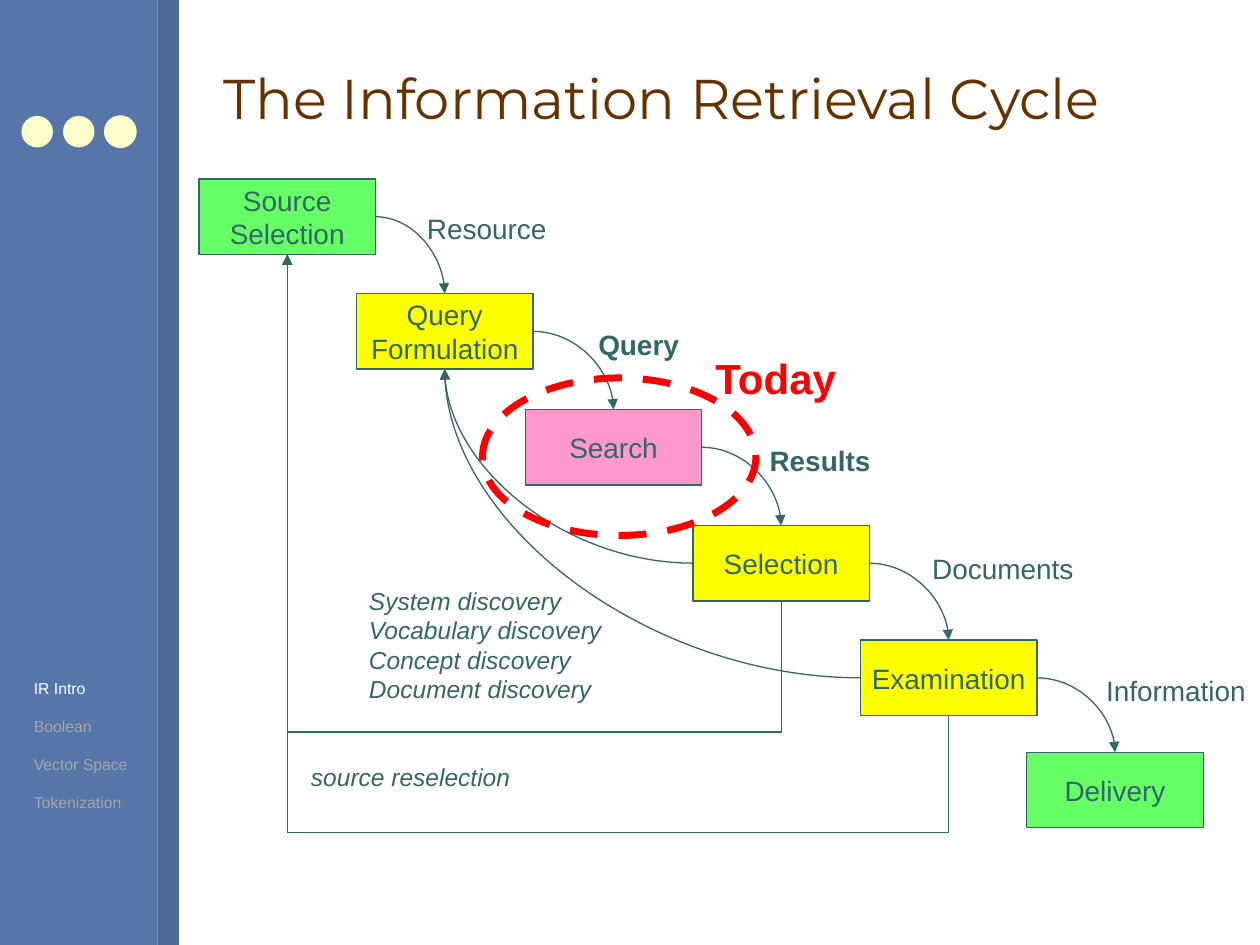
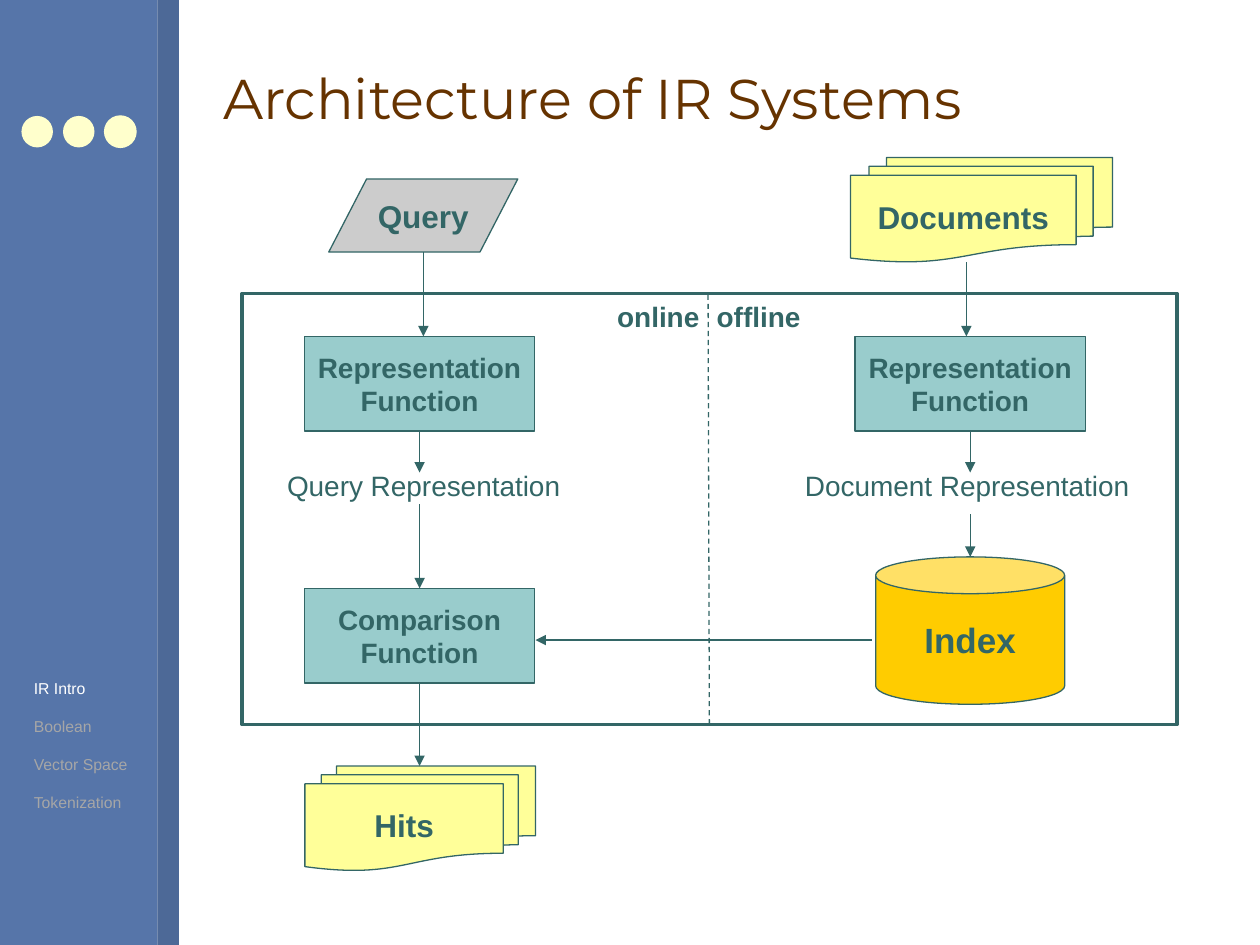
from pptx import Presentation
from pptx import util as u
from pptx.dml.color import RGBColor
from pptx.enum import dml, shapes, text
from pptx.oxml import ns, xmlchemy

INK, TITLE, RED = "336666", "663300", "FF0000"
BAND, EDGE, DOT, MUTED = "5675A9", "4D6997", "FFFFCC", "A6A6A6"
GREEN, YELLOW, PINK = "66FF66", "FFFF00", "FF99CC"
TEAL, PAPER, GREY, GOLD = "99CCCC", "FFFF99", "CCCCCC", "FFCC00"
TOPICS = ["IR Intro", "Boolean", "Vector Space", "Tokenization"]

STEP_W, STEP_H = 1.4, 0.6
STEPS = [
    (["Source", "Selection"], 1.58, 1.42, GREEN),
    (["Query", "Formulation"], 2.83, 2.33, YELLOW),
    (["Search"], 4.17, 3.25, PINK),
    (["Selection"], 5.5, 4.17, YELLOW),
    (["Examination"], 6.83, 5.08, YELLOW),
    (["Delivery"], 8.15, 5.97, GREEN),
]
PASSED_ON = [
    ("Resource", 3.29, 1.63, 1.15, False),
    ("Query", 4.65, 2.55, 0.85, True),
    ("Results", 6.01, 3.47, 1, True),
    ("Documents", 7.3, 4.33, 1.32, False),
    ("Information", 8.68, 5.3, 1.31, False),
]
DISCOVERIES = ["System discovery", "Vocabulary discovery",
               "Concept discovery", "Document discovery"]
RESELECTION_LEVELS = [(4, 6.61), (3, 5.81)]

QUERY_X, INDEX_X, FUNC_W, FUNC_H = 3.33, 7.7, 1.83, 0.75
FUNCTIONS = [
    ("Representation", QUERY_X, 2.67),
    ("Representation", INDEX_X, 2.67),
    ("Comparison", QUERY_X, 4.67),
]
STORES = [
    ("Documents", "FLOWCHART_MULTIDOCUMENT", (6.75, 1.25, 2.08, 0.83), PAPER, 18),
    ("Query", "FLOWCHART_DATA", (2.61, 1.42, 1.5, 0.58), GREY, 18),
    ("Hits", "FLOWCHART_MULTIDOCUMENT", (2.42, 6.08, 1.83, 0.83), PAPER, 18),
    ("Index", "CAN", (6.95, 4.42, 1.5, 1.17), GOLD, 20),
]
FLOWS = [
    (QUERY_X, 3.42, QUERY_X, 3.75), (INDEX_X, 3.42, INDEX_X, 3.75),
    (INDEX_X, 4.08, INDEX_X, 4.42), (3.36, 2, 3.36, 2.67),
    (7.67, 2.08, 7.67, 2.67), (6.92, 5.08, 4.25, 5.08),
    (QUERY_X, 5.42, QUERY_X, 6.08), (QUERY_X, 4, QUERY_X, 4.67),
]
CAPTIONS = [
    ("Query Representation", 2.18, 3.67, 2.4, False),
    ("Document Representation", 6.29, 3.67, 2.82, False),
    ("offline", 5.59, 2.33, 0.9, True),
    ("online", 4.8, 2.33, 0.88, True),
]


def rgb(value):
    return RGBColor.from_string(value)


def write(tf, lines, size=16, color=INK, font="Arial", bold=False, italic=False,
          align="LEFT", anchor="TOP", wrap=False, gap=0):
    tf.word_wrap = wrap
    tf.vertical_anchor = getattr(text.MSO_ANCHOR, anchor)
    for i, line in enumerate(lines):
        p = tf.paragraphs[0] if i == 0 else tf.add_paragraph()
        p.alignment = getattr(text.PP_ALIGN, align)
        p.space_before = u.Pt(gap if i else 0)
        r = p.add_run()
        r.text = line
        r.font.name, r.font.size = font, u.Pt(size)
        r.font.bold, r.font.italic = bold, italic
        r.font.color.rgb = rgb(color)


def add_shape(s, kind, box, fill=None, line=None, width=0.75, lines=(), **fmt):
    sp = s.shapes.add_shape(getattr(shapes.MSO_SHAPE, kind), *map(u.Inches, box))
    sp.shadow.inherit = False
    if fill:
        sp.fill.solid()
        sp.fill.fore_color.rgb = rgb(fill)
    else:
        sp.fill.background()
    if line:
        sp.line.color.rgb = rgb(line)
        sp.line.width = u.Pt(width)
    else:
        sp.line.fill.background()
    if lines:
        write(sp.text_frame, lines, align="CENTER", anchor="MIDDLE", **fmt)
    return sp


def add_label(s, lines, x, y, w, h=0.37, **fmt):
    tf = s.shapes.add_textbox(*map(u.Inches, (x, y, w, h))).text_frame
    write(tf, lines, **fmt)
    tf.auto_size = text.MSO_AUTO_SIZE.SHAPE_TO_FIT_TEXT
    return tf


def add_line(s, ends, kind="STRAIGHT", arrow=True):
    c = s.shapes.add_connector(getattr(shapes.MSO_CONNECTOR, kind), *map(u.Inches, ends))
    c.line.color.rgb = rgb(INK)
    c.line.width = u.Pt(0.75)
    spPr = c._element.spPr
    if arrow:
        tail = xmlchemy.OxmlElement("a:tailEnd")
        tail.set("type", "triangle")
        spPr.find(ns.qn("a:ln")).append(tail)
    spPr.append(xmlchemy.OxmlElement("a:effectLst"))
    return c


def add_curve(s, start, end):
    c = add_line(s, (*start, *end), "CURVE")
    c._element.spPr.find(ns.qn("a:prstGeom")).set("prst", "curvedConnector2")


def add_return(s, start, end, level):
    (x1, y1), (x2, y2) = start, end
    cx, cy, rise, run = (x1 + x2) / 2, (y1 + y2) / 2, y1 - y2, x1 - x2
    c = add_line(s, (cx - rise / 2, cy - run / 2, cx + rise / 2, cy + run / 2), "ELBOW")
    xfrm = c._element.spPr.find(ns.qn("a:xfrm"))
    xfrm.set("rot", "16200000")
    xfrm.set("flipV", "1")
    gd = xmlchemy.OxmlElement("a:gd")
    gd.set("name", "adj1")
    gd.set("fmla", f"val {round((y1 - level) / rise * 100000)}")
    c._element.spPr.find(ns.qn("a:prstGeom")).get_or_add_avLst().append(gd)


def new_slide(prs, title):
    s = prs.slides.add_slide(prs.slide_layouts[5])
    add_shape(s, "RECTANGLE", (0, 0, 1.25, 7.5), BAND)
    add_shape(s, "RECTANGLE", (1.25, 0, 0.17, 7.5), EDGE)
    for i in range(3):
        add_shape(s, "OVAL", (0.17 + 0.33 * i, 0.92, 0.25, 0.25), DOT,
                  DOT if i == 2 else None)
    sp = s.shapes.title
    sp.left, sp.top, sp.width, sp.height = map(u.Inches, (1.67, 0.21, 8, 1.13))
    write(sp.text_frame, [title], size=32, font="Montserrat", color=TITLE,
          anchor="MIDDLE", wrap=True)
    tf = add_label(s, TOPICS, 0.17, 5.34, 0.95, 1.16, size=9, color=MUTED, gap=10.9)
    tf.paragraphs[0].runs[0].font.color.rgb = rgb("FFFFFF")
    return s


def left(i):
    return STEPS[i][1], STEPS[i][2] + STEP_H / 2


def right(i):
    return STEPS[i][1] + STEP_W, STEPS[i][2] + STEP_H / 2


def top(i):
    return STEPS[i][1] + STEP_W / 2, STEPS[i][2]


def bottom(i):
    return STEPS[i][1] + STEP_W / 2, STEPS[i][2] + STEP_H


def cycle_slide(prs):
    s = new_slide(prs, "The Information Retrieval Cycle")
    for lines, x, y, fill in STEPS:
        add_shape(s, "RECTANGLE", (x, y, STEP_W, STEP_H), fill, INK, lines=lines)
    for i, (label, x, y, w, bold) in enumerate(PASSED_ON):
        add_curve(s, right(i), top(i + 1))
        add_label(s, [label], x, y, w, bold=bold)
    add_label(s, ["source reselection"], 2.37, 6, 2.3, 0.34, size=14, italic=True, wrap=True)
    for i, level in RESELECTION_LEVELS:
        add_return(s, bottom(i), bottom(0), level)
        add_curve(s, left(i), bottom(1))
    add_label(s, DISCOVERIES, 2.83, 4.6, 2.05, 1.04, size=14, italic=True)
    focus = add_shape(s, "OVAL", (3.83, 3, 2.17, 1.25), line=RED, width=4)
    focus.line.dash_style = dml.MSO_LINE.DASH
    add_label(s, ["Today"], 5.58, 2.75, 1.18, 0.5, size=24, color=RED, bold=True)


def architecture_slide(prs):
    s = new_slide(prs, "Architecture of IR Systems")
    for label, kind, box, fill, size in STORES:
        add_shape(s, kind, box, fill, INK, lines=[label], size=size, bold=True)
    for name, x, y in FUNCTIONS:
        add_shape(s, "RECTANGLE", (x - FUNC_W / 2, y, FUNC_W, FUNC_H), TEAL, INK,
                  lines=[name, "Function"], bold=True)
    for ends in FLOWS:
        add_line(s, ends)
    add_shape(s, "RECTANGLE", (1.92, 2.33, 7.42, 3.42), line=INK, width=2)
    divider = add_line(s, (5.62, 2.34, 5.63, 5.75), arrow=False)
    divider.line.dash_style = dml.MSO_LINE.DASH
    for label, x, y, w, bold in CAPTIONS:
        add_label(s, [label], x, y, w, bold=bold)


def main():
    prs = Presentation()
    prs.slide_width, prs.slide_height = u.Inches(10), u.Inches(7.5)
    cycle_slide(prs)
    architecture_slide(prs)
    prs.save("out.pptx")


if __name__ == "__main__":
    main()
